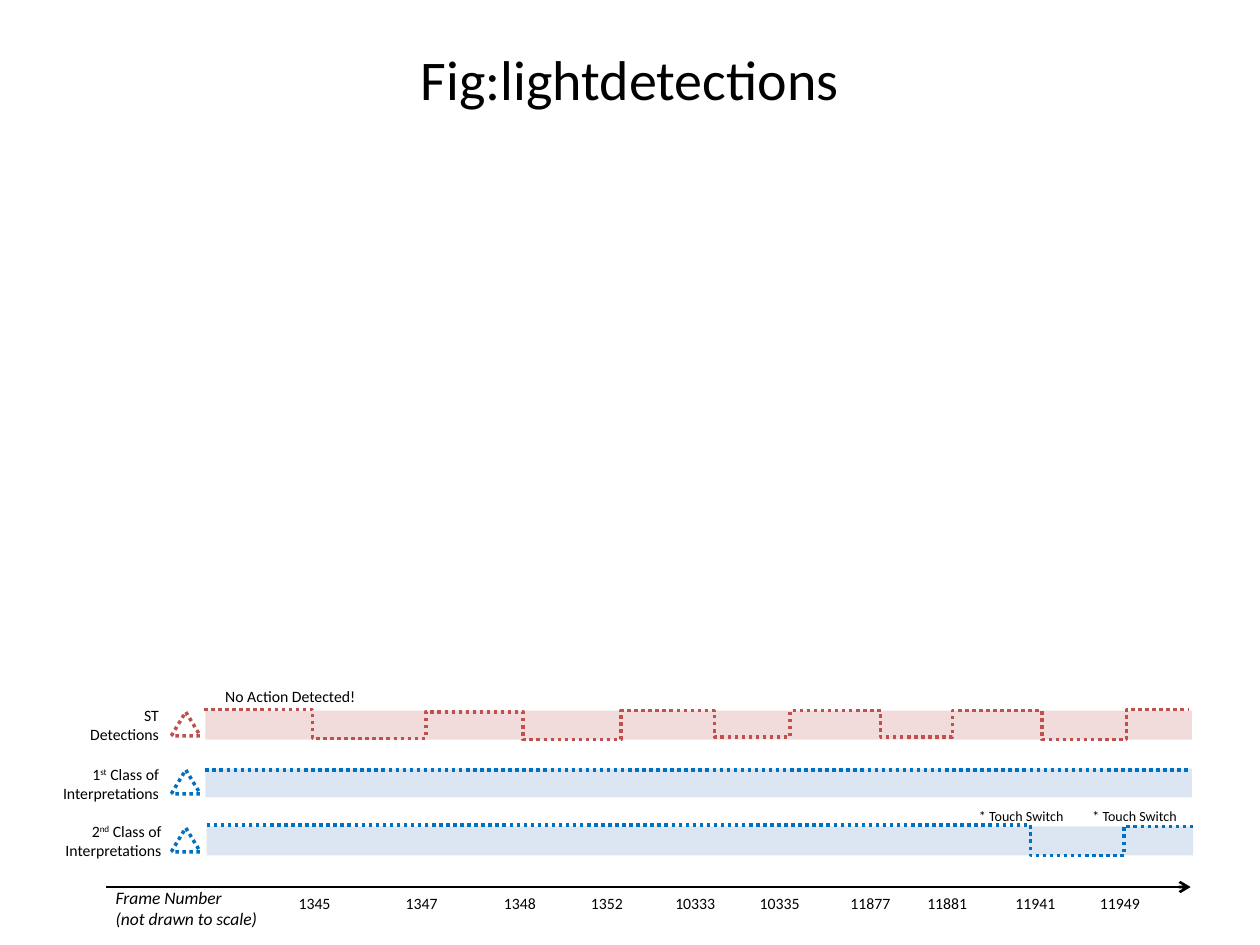
from dataclasses import dataclass

from lxml import etree
from pptx import Presentation
from pptx.dml.color import RGBColor
from pptx.enum import dml, shapes, text
from pptx.oxml import ns
from pptx.util import Inches, Pt


@dataclass(frozen=True)
class Theme:
    font: str = "Calibri"
    ink: str = "000000"
    red: str = "C0504D"
    red_band: str = "F2DCDB"
    blue: str = "0070C0"
    blue_band: str = "DCE6F2"
    title: float = 32
    axis: float = 10
    label: float = 9
    note: float = 8
    signal_width: float = 2
    axis_width: float = 1.5


T = Theme()
RIGHT = text.PP_ALIGN.RIGHT
LEFT = text.PP_ALIGN.LEFT
BAND_W, BAND_H = 7.83, 0.23


def style_runs(p, words, size, italic=False):
    """Fill a paragraph; parts between ^ marks are superscript."""
    for i, part in enumerate(words.split("^")):
        r = p.add_run()
        r.text = part
        r.font.name, r.font.size, r.font.italic = T.font, Pt(size), italic
        r.font.color.rgb = RGBColor.from_string(T.ink)
        if i % 2:
            r._r.get_or_add_rPr().set("baseline", "30000")


def add_text(slide, words, box, size=T.label, align=LEFT, italic=False,
             wrap=True, inset=(0, 0)):
    tf = slide.shapes.add_textbox(*map(Inches, box)).text_frame
    tf.word_wrap = wrap
    tf.margin_left = tf.margin_right = Inches(inset[0])
    tf.margin_top = tf.margin_bottom = Inches(inset[1])
    for i, line in enumerate(words.split("\n")):
        p = tf.paragraphs[0] if i == 0 else tf.add_paragraph()
        p.alignment = align
        style_runs(p, line, size, italic)


def add_shape(slide, kind, box):
    sp = slide.shapes.add_shape(kind, *map(Inches, box))
    sp.shadow.inherit = False
    return sp


def dotted(sp, color):
    sp.line.color.rgb = RGBColor.from_string(color)
    sp.line.width = Pt(T.signal_width)
    sp.line.dash_style = dml.MSO_LINE.ROUND_DOT


def add_line(slide, x1, y1, x2, y2):
    c = slide.shapes.add_connector(shapes.MSO_CONNECTOR.STRAIGHT,
                                   *map(Inches, (x1, y1, x2, y2)))
    etree.SubElement(c._element.spPr, ns.qn("a:effectLst"))
    return c


def add_signal(slide, levels, end, color):
    """Square wave: each level is (start x, y) and holds until the next."""
    if len(levels) == 1:
        x, y = levels[0]
        dotted(add_line(slide, x, y, end, y), color)
        return
    points = [levels[0]]
    for (_, y), (x, next_y) in zip(levels, levels[1:]):
        points += [(x, y), (x, next_y)]
    points.append((end, levels[-1][1]))
    points = [(Inches(x), Inches(y)) for x, y in points]
    fb = slide.shapes.build_freeform(*points[0], scale=1.0)
    fb.add_line_segments(points[1:], close=False)
    sp = fb.convert_to_shape()
    sp.shadow.inherit = False
    sp.fill.background()
    dotted(sp, color)


def add_track(slide, left, top, label, label_box, levels, end, color, band_color):
    """One timeline row: band, triangle marker, label and signal."""
    band = add_shape(slide, shapes.MSO_SHAPE.RECTANGLE, (left, top, BAND_W, BAND_H))
    band.fill.solid()
    band.fill.fore_color.rgb = RGBColor.from_string(band_color)
    band.line.fill.background()
    marker = add_shape(slide, shapes.MSO_SHAPE.ISOSCELES_TRIANGLE,
                       (1.36, top + 0.01, 0.23, 0.19))
    marker.fill.background()
    dotted(marker, color)
    add_text(slide, label, label_box, align=RIGHT)
    add_signal(slide, levels, end, color)


def add_axis(slide, left, top, right, frames):
    """Frame number axis with its tick labels."""
    axis = add_line(slide, left, top, right, top)
    axis.line.color.rgb = RGBColor.from_string(T.ink)
    axis.line.width = Pt(T.axis_width)
    etree.SubElement(axis.line._get_or_add_ln(), ns.qn("a:tailEnd"), type="arrow")
    add_text(slide, "Frame Number\n(not drawn to scale)",
             (left - 0.02, top - 0.05, 1.34, 0.44), size=T.axis,
             italic=True, wrap=False, inset=(0.1, 0.05))
    for frame, x in frames.items():
        add_text(slide, str(frame), (x, top + 0.05, 0.5, 0.15))


def add_title(slide, words, box):
    sp = slide.shapes.title
    sp.left, sp.top, sp.width, sp.height = map(Inches, box)
    tf = sp.text_frame
    tf.vertical_anchor = text.MSO_ANCHOR.MIDDLE
    tf.paragraphs[0].alignment = text.PP_ALIGN.CENTER
    style_runs(tf.paragraphs[0], words, T.title)


def main():
    prs = Presentation()
    prs.slide_width, prs.slide_height = Inches(10), Inches(7.5)
    s = prs.slides.add_slide(prs.slide_layouts[5])
    add_title(s, "Fig:lightdetections", (0.5, 0.3, 9, 0.64))

    # Tracks
    detections = [(1.62, 5.63), (2.48, 5.86), (3.38, 5.65), (4.15, 5.87),
                  (4.93, 5.64), (5.67, 5.85), (6.27, 5.64), (6.99, 5.85),
                  (7.56, 5.64), (8.27, 5.87), (8.94, 5.63)]
    second_class = [(1.64, 6.55), (8.18, 6.79), (8.92, 6.56)]
    add_track(s, 1.63, 5.64, "ST Detections", (0.69, 5.6, 0.57, 0.3),
              detections, 9.44, T.red, T.red_band)
    add_track(s, 1.63, 6.1, "1^st^ Class of Interpretations", (0.47, 6.07, 0.79, 0.3),
              [(1.63, 6.11)], 9.44, T.blue, T.blue_band)
    add_track(s, 1.64, 6.56, "2^nd^ Class of Interpretations", (0.47, 6.52, 0.81, 0.3),
              second_class, 9.47, T.blue, T.blue_band)

    # Notes above the signals
    add_text(s, "No Action Detected!", (1.62, 5.45, 1.2, 0.15), align=RIGHT)
    for x in (7.77, 8.67):
        add_text(s, "* Touch Switch", (x, 6.41, 1.2, 0.13), size=T.note)

    # Axis
    add_axis(s, 0.84, 7.04, 9.45, {
        1345: 2.37, 1347: 3.22, 1348: 4, 1352: 4.69, 10333: 5.36,
        10335: 6.03, 11877: 6.75, 11881: 7.36, 11941: 8.06, 11949: 8.73})
    prs.save("out.pptx")


if __name__ == "__main__":
    main()
